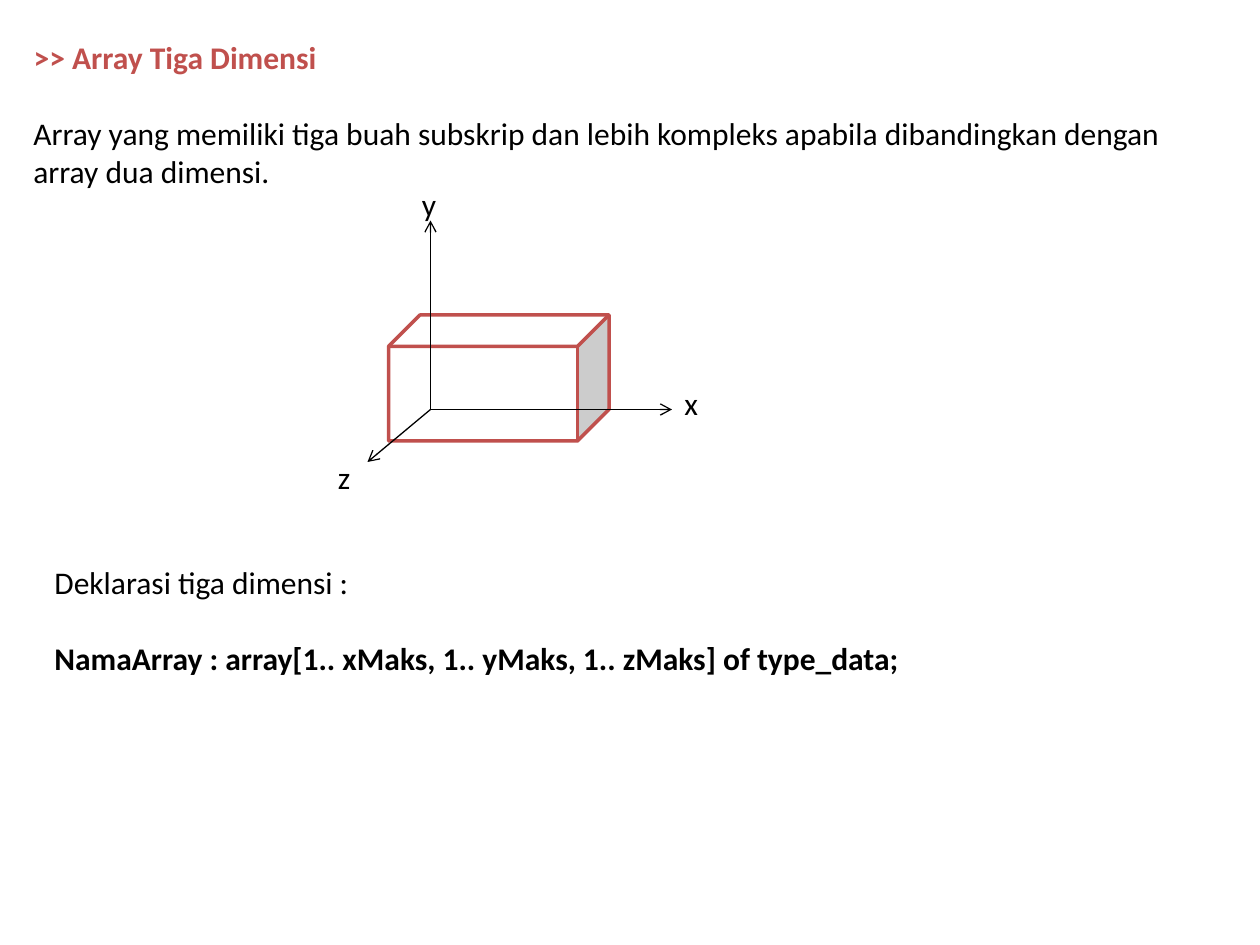
from lxml.etree import SubElement
from pptx import Presentation
from pptx.dml.color import RGBColor
from pptx.enum.shapes import MSO_CONNECTOR as Connector, MSO_SHAPE as Shape
from pptx.enum.text import MSO_ANCHOR as Anchor, MSO_AUTO_SIZE as AutoSize, PP_ALIGN as Align
from pptx.oxml.ns import qn
from pptx.util import Inches, Pt

UNIT = Inches(1) // 12
RED, BLACK, WHITE = "C0504D", "000000", "FFFFFF"
ORIGIN = (41, 39)
AXES = [
    ("y", (41, 21), (39, 17, 4, 4.8)),
    ("z", (35, 44), (31, 43, 4, 4.8)),
    ("x", (64, 39), (64, 36, 6, 4.8)),
]


def color(hex_code):
    """Turn a hex string into a colour."""
    return RGBColor.from_string(hex_code)


def grid(*cells):
    """Convert grid columns and rows, twelve to the inch, into lengths."""
    return [round(cell * UNIT) for cell in cells]


def write(frame, lines, hue=BLACK):
    """Fill a text frame with (text, bold) lines, one blank line's height apart."""
    frame.word_wrap = True
    frame.auto_size = AutoSize.NONE
    frame.vertical_anchor = Anchor.TOP
    for index, (text, bold) in enumerate(lines):
        paragraph = frame.add_paragraph() if index else frame.paragraphs[0]
        paragraph.alignment = Align.LEFT
        if index:
            paragraph.space_before = Pt(22)
        run = paragraph.add_run()
        run.text = text
        font = run.font
        font.name, font.size, font.bold = "Calibri", Pt(18), bold
        font.color.rgb = color(hue)


def add_title(slide, area, text):
    """Place and format the slide's title."""
    title = slide.shapes.title
    title.left, title.top, title.width, title.height = grid(*area)
    write(title.text_frame, [(text, True)], RED)


def add_text(slide, area, *lines):
    """Add a text box with the given lines."""
    write(slide.shapes.add_textbox(*grid(*area)).text_frame, lines)


def add_cube(slide, area):
    """Add the outlined box that stands for the array."""
    cube = slide.shapes.add_shape(Shape.CUBE, *grid(*area))
    cube.shadow.inherit = False
    cube.fill.solid()
    cube.fill.fore_color.rgb = color(WHITE)
    cube.line.color.rgb = color(RED)
    cube.line.width = Pt(2)


def add_axis(slide, end):
    """Draw an arrow from the origin to an axis end."""
    axis = slide.shapes.add_connector(Connector.STRAIGHT, *grid(*ORIGIN, *end))
    axis.line.color.rgb = color(BLACK)
    axis.line.width = Pt(0.75)
    SubElement(axis.line._get_or_add_ln(), qn("a:tailEnd"), type="arrow")
    SubElement(axis._element.spPr, qn("a:effectLst"))


def main():
    """Build the slide on three-dimensional arrays."""
    deck = Presentation()
    deck.slide_width, deck.slide_height = grid(120, 90)
    slide = deck.slides.add_slide(deck.slide_layouts[5])
    add_title(slide, (2, 3, 115, 4.8), ">> Array Tiga Dimensi")
    add_text(slide, (2, 10.3, 115, 8.4), (
        "Array yang memiliki tiga buah subskrip dan lebih kompleks "
        "apabila dibandingkan dengan array dua dimensi.", False))
    add_cube(slide, (37, 30, 21, 12))
    for name, end, label_area in AXES:
        add_axis(slide, end)
        add_text(slide, label_area, (name, False))
    add_text(slide, (4, 53, 110, 12),
             ("Deklarasi tiga dimensi :", False),
             ("NamaArray : array[1.. xMaks, 1.. yMaks, 1.. zMaks] of type_data;", True))
    deck.save("out.pptx")


if __name__ == "__main__":
    main()
